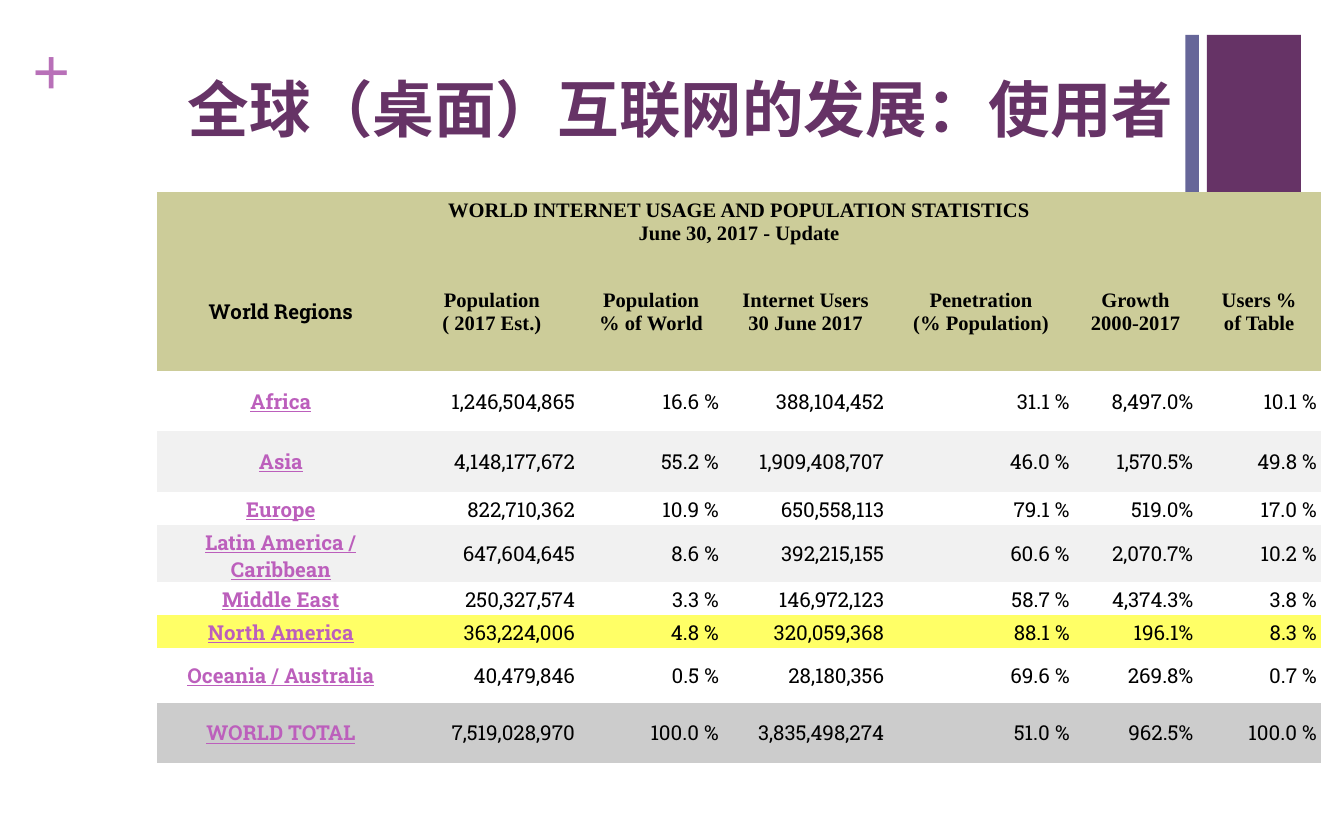
from dataclasses import dataclass

from lxml.etree import SubElement
from pptx import Presentation
from pptx.dml.color import RGBColor as Rgb
from pptx.enum.shapes import MSO_SHAPE as Shape
from pptx.enum.text import MSO_ANCHOR as Anchor, MSO_AUTO_SIZE as AutoSize, PP_ALIGN as Align
from pptx.oxml.ns import qn
from pptx.util import Inches, Pt


@dataclass(frozen=True)
class Theme:
    """Colours, fonts and type sizes of the deck."""
    purple: str = "663366"
    slate: str = "666699"
    orchid: str = "B870B8"
    link: str = "BC5FBC"
    ink: str = "000000"
    khaki: str = "CCCC99"
    white: str = "FFFFFF"
    band: str = "F1F1F1"
    highlight: str = "FFFF66"
    total: str = "CCCCCC"
    slab: str = "Roboto Slab"
    serif: str = "Times New Roman"
    title_size: int = 33
    plus_size: int = 36
    table_size: int = 11


THEME = Theme()
NO_GRID_STYLE = "{2D5ABB26-0587-4C30-8999-92F81FD0307C}"
COLUMN_WIDTHS = [1.84, 1.3, 1.07, 1.23, 1.38, 0.92, 0.92]
HEADING = "WORLD INTERNET USAGE AND POPULATION STATISTICS\nJune 30, 2017 - Update"
HEADING_HEIGHT, LABEL_HEIGHT = 0.45, 0.88
LABELS = ["World Regions", "Population\n( 2017 Est.)", "Population\n% of World",
          "Internet Users\n30 June 2017", "Penetration\n(% Population)",
          "Growth\n2000-2017", "Users %\nof Table"]
REGIONS = [
    (0.45, THEME.white, ["Africa", "1,246,504,865", "16.6 %", "388,104,452",
                         "31.1 %", "8,497.0%", "10.1 %"]),
    (0.45, THEME.band, ["Asia", "4,148,177,672", "55.2 %", "1,909,408,707",
                        "46.0 %", "1,570.5%", "49.8 %"]),
    (0.24, THEME.white, ["Europe", "822,710,362", "10.9 %", "650,558,113",
                         "79.1 %", "519.0%", "17.0 %"]),
    (0.41, THEME.band, ["Latin America / Caribbean", "647,604,645", "8.6 %", "392,215,155",
                        "60.6 %", "2,070.7%", "10.2 %"]),
    (0.24, THEME.white, ["Middle East", "250,327,574", "3.3 %", "146,972,123",
                         "58.7 %", "4,374.3%", "3.8 %"]),
    (0.24, THEME.highlight, ["North America", "363,224,006", "4.8 %", "320,059,368",
                             "88.1 %", "196.1%", "8.3 %"]),
    (0.41, THEME.white, ["Oceania / Australia", "40,479,846", "0.5 %", "28,180,356",
                         "69.6 %", "269.8%", "0.7 %"]),
    (0.45, THEME.total, ["WORLD TOTAL", "7,519,028,970", "100.0 %", "3,835,498,274",
                         "51.0 %", "962.5%", "100.0 %"]),
]


def write(frame, text, color, align=Align.LEFT, **formats):
    """Put one paragraph of formatted text in a text frame."""
    para = frame.paragraphs[0]
    para.text = text
    para.alignment = align
    for span in para.runs:
        span.font.color.rgb = Rgb.from_string(color)
        for name, value in formats.items():
            setattr(span.font, name, value)
    for line_break in para._p.findall(qn("a:br")):
        SubElement(line_break, qn("a:rPr"), sz=str(formats["size"].centipoints))


def set_margins(target, inset):
    """Give a cell or text frame the same margin on every side."""
    for side in ("left", "top", "right", "bottom"):
        setattr(target, f"margin_{side}", Inches(inset))


def add_bars(page, left, top, width, height):
    """Draw the wide purple bar with the thin slate bar at its left."""
    thin, wide = 0.1, 0.7
    for offset, bar_width, color in ((width - wide, wide, THEME.purple),
                                     (0, thin, THEME.slate)):
        bar = page.shapes.add_shape(Shape.RECTANGLE, Inches(left + offset), Inches(top),
                                    Inches(bar_width), Inches(height))
        bar.shadow.inherit = False
        bar.fill.solid()
        bar.fill.fore_color.rgb = Rgb.from_string(color)
        bar.line.fill.background()


def add_plus(page, left, top, width, height):
    """Place the plus sign in the corner."""
    box = page.shapes.add_textbox(*map(Inches, (left, top, width, height)))
    frame = box.text_frame
    frame.word_wrap = True
    frame.auto_size = AutoSize.SHAPE_TO_FIT_TEXT
    set_margins(frame, 0)
    write(frame, "+", THEME.orchid, size=Pt(THEME.plus_size), name=THEME.serif, bold=True)


def add_title(page, left, top, width, height):
    """Place the slide title."""
    box = page.shapes.add_textbox(*map(Inches, (left, top, width, height)))
    frame = box.text_frame
    frame.word_wrap = True
    frame.vertical_anchor = Anchor.MIDDLE
    write(frame, "全球（桌面）互联网的发展：使用者", THEME.purple,
          size=Pt(THEME.title_size), name=THEME.slab, bold=True)


def fill_cell(cell, text, fill, inset, color=THEME.ink, align=Align.CENTER, **formats):
    """Set the background, margins and text of one table cell."""
    cell.fill.solid()
    cell.fill.fore_color.rgb = Rgb.from_string(fill)
    cell.vertical_anchor = Anchor.MIDDLE
    set_margins(cell, inset)
    write(cell.text_frame, text, color, align, size=Pt(THEME.table_size), **formats)


def add_statistics(page, left, top, width, height):
    """Build the table of internet usage by world region."""
    graphic = page.shapes.add_table(len(REGIONS) + 2, len(LABELS),
                                    *map(Inches, (left, top, width, height)))
    table = graphic.table
    table.first_row = table.horz_banding = False
    table._tbl.tblPr.find(qn("a:tableStyleId")).text = NO_GRID_STYLE
    for column, column_width in zip(table.columns, COLUMN_WIDTHS):
        column.width = Inches(column_width)
    row_heights = [HEADING_HEIGHT, LABEL_HEIGHT] + [region[0] for region in REGIONS]
    for row, row_height in zip(table.rows, row_heights):
        row.height = Inches(row_height)

    heading = table.cell(0, 0)
    heading.merge(table.cell(0, len(LABELS) - 1))
    fill_cell(heading, HEADING, THEME.khaki, 0.01, name=THEME.serif, bold=True)
    for index, label in enumerate(LABELS):
        font = THEME.serif if index else THEME.slab
        fill_cell(table.cell(1, index), label, THEME.khaki, 0.01, name=font, bold=True)

    region_format = dict(color=THEME.link, bold=True, underline=True)
    value_format = dict(align=Align.RIGHT, bold=False)
    for row_index, (_, fill, values) in enumerate(REGIONS, start=2):
        for index, value in enumerate(values):
            formats = value_format if index else region_format
            fill_cell(table.cell(row_index, index), value, fill, 0.03,
                      name=THEME.slab, **formats)


def build_deck():
    """Assemble and save the deck."""
    deck = Presentation()
    deck.slide_width, deck.slide_height = Inches(10), Inches(6.25)
    page = deck.slides.add_slide(deck.slide_layouts[6])
    add_bars(page, 8.82, 0.26, 0.86, 1.46)
    add_plus(page, 0.24, 0.21, 0.29, 0.61)
    add_title(page, 1.3, 0.43, 8.03, 0.75)
    add_statistics(page, 1.17, 1.43, 8.67, 4.24)
    deck.save("out.pptx")


build_deck()
